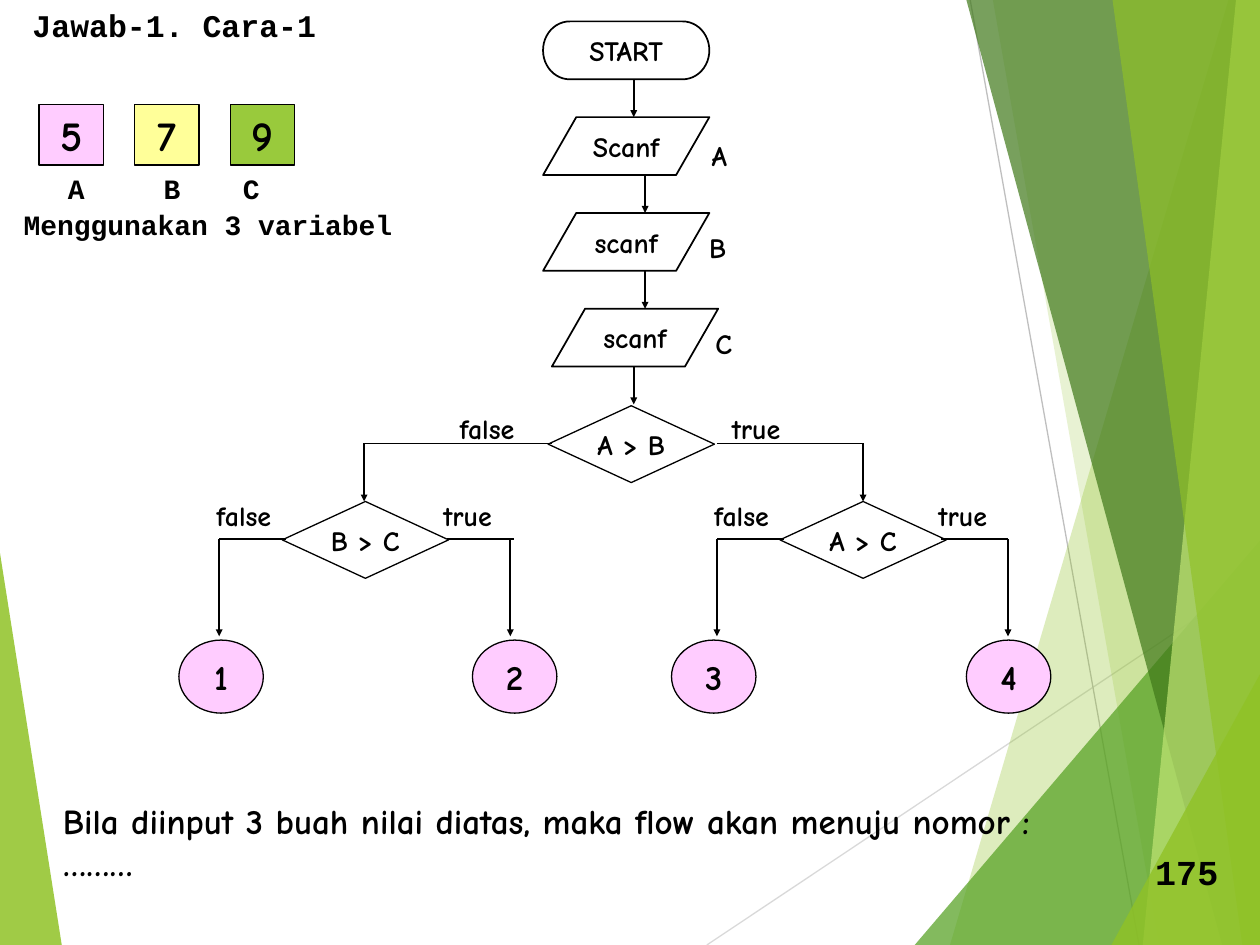
from dataclasses import dataclass

from lxml import etree
from pptx import Presentation
from pptx.dml.color import RGBColor
from pptx.enum.shapes import MSO_CONNECTOR, MSO_SHAPE
from pptx.enum.text import MSO_ANCHOR, MSO_AUTO_SIZE, PP_ALIGN
from pptx.oxml.ns import qn
from pptx.util import Inches, Pt

STRAIGHT = MSO_CONNECTOR.STRAIGHT
TERMINATOR = MSO_SHAPE.FLOWCHART_TERMINATOR
INPUT = MSO_SHAPE.FLOWCHART_DATA
DECISION = MSO_SHAPE.FLOWCHART_DECISION
CIRCLE = MSO_SHAPE.OVAL
SQUARE = MSO_SHAPE.RECTANGLE
MIDDLE = MSO_ANCHOR.MIDDLE
CENTER = PP_ALIGN.CENTER
LEFT = PP_ALIGN.LEFT
FIT = MSO_AUTO_SIZE.SHAPE_TO_FIT_TEXT


@dataclass(frozen=True)
class Theme:
    """Fonts, type sizes, line widths and colours of the slide."""
    hand: str = "Comic Neue"
    mono: str = "Courier New"
    label: int = 16
    title: int = 18
    note: int = 20
    value: int = 24
    thin: float = 0.75
    thick: float = 1
    ink: str = "000000"
    pink: str = "FFCCFF"
    yellow: str = "FFFF99"
    lime: str = "99CA3C"
    leaf: str = "90C226"
    grass: str = "54A021"
    forest: str = "3F7819"
    mint: str = "C0E474"
    light_gray: str = "D9D9D9"
    gray: str = "BFBFBF"


THEME = Theme()


def write(shape, text, size, font, align):
    """Put bold ink text in a shape."""
    frame = shape.text_frame
    frame.text = text
    para = frame.paragraphs[0]
    para.alignment = align
    span = para.runs[0]
    span.font.name = font
    span.font.size = Pt(size)
    span.font.bold = True
    span.font.color.rgb = RGBColor.from_string(THEME.ink)


def add_label(page, text, place, size=THEME.label, font=THEME.hand, wrap=False):
    """Add a text box at left, top, width, height."""
    box = page.shapes.add_textbox(*map(Inches, place))
    write(box, text, size, font, LEFT)
    box.text_frame.word_wrap = wrap
    box.text_frame.auto_size = FIT


def add_node(page, kind, text, place, fill=None, size=THEME.label, width=THEME.thin):
    """Add an outlined shape with centred text."""
    node = page.shapes.add_shape(kind, *map(Inches, place))
    node.shadow.inherit = False
    if fill:
        node.fill.solid()
        node.fill.fore_color.rgb = RGBColor.from_string(fill)
    else:
        node.fill.background()
    node.line.color.rgb = RGBColor.from_string(THEME.ink)
    node.line.width = Pt(width)
    write(node, text, size, THEME.hand, CENTER)
    node.text_frame.word_wrap = False
    node.text_frame.vertical_anchor = MIDDLE


def add_line(page, ends, arrow=False, color=THEME.ink, width=THEME.thick):
    """Draw a straight line, with a small arrowhead at its end if asked."""
    line = page.shapes.add_connector(STRAIGHT, *map(Inches, ends))
    line.line.color.rgb = RGBColor.from_string(color)
    line.line.width = Pt(width)
    if arrow:
        outline = line.line._get_or_add_ln()
        etree.SubElement(outline, qn("a:tailEnd"), type="triangle", w="sm", len="sm")
    etree.SubElement(line._element.spPr, qn("a:effectLst"))


def add_facet(page, points, color, opacity):
    """Draw a translucent polygon without outline."""
    corners = [(Inches(x), Inches(y)) for x, y in points]
    builder = page.shapes.build_freeform(*corners[0])
    builder.add_line_segments(corners[1:], close=True)
    facet = builder.convert_to_shape()
    facet.shadow.inherit = False
    facet.line.fill.background()
    facet.fill.solid()
    facet.fill.fore_color.rgb = RGBColor.from_string(color)
    tint = facet._element.spPr.find(".//" + qn("a:srgbClr"))
    etree.SubElement(tint, qn("a:alpha"), val=str(opacity * 1000))


def add_backdrop(page):
    """Draw the green facets and the two fine lines behind the flowchart."""
    add_facet(page, [(0, 4.39), (0.49, 7.5), (0, 7.5)], THEME.leaf, 85)
    add_line(page, (5.61, 7.5, 10, 4.57), color=THEME.light_gray, width=THEME.thin)
    add_line(page, (7.7, 0, 9.04, 7.5), color=THEME.gray, width=THEME.thin)
    facets = [
        (9.75, 0, 7.54, THEME.leaf, 30),
        (7.88, 0, 9.2, THEME.leaf, 20),
        (10, 4.29, 7.26, THEME.grass, 72),
        (7.67, 0, 9.7, THEME.forest, 70),
        (9.81, 0, 9.07, THEME.mint, 70),
        (8.83, 0, 9.86, THEME.leaf, 65),
        (10, 5.35, 8.82, THEME.leaf, 80),
    ]
    for upper, top, lower, color, opacity in facets:
        points = [(upper, top), (lower, 7.5), (10, 7.5), (10, top)]
        add_facet(page, points, color, opacity)


def add_variables(page):
    """Draw the three variables with their values and names."""
    variables = [
        ("5", "A", THEME.pink, 0.44),
        ("7", "B", THEME.yellow, 1.2),
        ("9", "C", THEME.lime, 1.83),
    ]
    for index, (value, name, fill, left) in enumerate(variables):
        place = (0.31 + 0.76 * index, 0.83, 0.51, 0.48)
        add_node(page, SQUARE, value, place, fill, THEME.value)
        add_label(page, name, (left, 1.31, 0.35, 0.37), font=THEME.mono)


def add_inputs(page):
    """Draw the start, the three inputs and the arrows between them."""
    steps = [
        (TERMINATOR, "START", 4.31, 5.03),
        (INPUT, "Scanf", 4.31, 5.12),
        (INPUT, "scanf", 4.31, 5.12),
        (INPUT, "scanf", 4.38, 5.03),
    ]
    for index, (kind, text, left, middle) in enumerate(steps):
        top = 0.17 + 0.76 * index
        add_node(page, kind, text, (left, top, 1.32, 0.46), width=THEME.thick)
        add_line(page, (middle, top + 0.46, middle, top + 0.76), arrow=True)
    for name, left, top in [("A", 5.55, 1.05), ("B", 5.53, 1.78), ("C", 5.58, 2.54)]:
        add_label(page, name, (left, top, 0.35, 0.37))


def add_decision(page, text, left, top, label_top, branches, drop):
    """Draw a decision with its false and true branches."""
    add_node(page, DECISION, text, (left, top, 1.32, 0.61))
    level = top + 0.3
    for answer, label_left, start, end, corner in branches:
        add_label(page, answer, (label_left, label_top, 0.66, 0.37))
        add_line(page, (start, level, end, level))
        add_line(page, (corner, level, corner, level + drop), arrow=True)


def add_decisions(page):
    """Draw the decision tree and its four numbered outcomes."""
    add_decision(page, "A > B", 4.35, 3.22, 3.22, [
        ("false", 3.55, 4.38, 2.89, 2.89),
        ("true", 5.71, 5.69, 6.85, 6.85),
    ], 0.46)
    add_decision(page, "B > C", 2.24, 3.98, 3.91, [
        ("false", 1.62, 2.27, 1.74, 1.74),
        ("true", 3.42, 3.55, 4.08, 4.05),
    ], 0.77)
    add_decision(page, "A > C", 6.19, 3.98, 3.91, [
        ("false", 5.57, 6.22, 5.69, 5.69),
        ("true", 7.35, 7.47, 8, 8),
    ], 0.77)
    for number, left in enumerate((1.42, 3.75, 5.33, 7.67), start=1):
        place = (left, 5.08, 0.67, 0.58)
        add_node(page, CIRCLE, str(number), place, THEME.pink, THEME.note)


def main():
    """Build the slide and save the deck."""
    deck = Presentation()
    deck.slide_width, deck.slide_height = Inches(10), Inches(7.5)
    page = deck.slides.add_slide(deck.slide_layouts[6])
    add_backdrop(page)
    add_label(page, "Jawab-1. Cara-1", (0.16, 0, 2.5, 0.4), THEME.title, THEME.mono)
    add_inputs(page)
    add_decisions(page)
    add_label(page, "Menggunakan 3 variabel", (0.09, 1.6, 3.2, 0.37), font=THEME.mono)
    question = "Bila diinput 3 buah nilai diatas, maka flow akan menuju nomor : ………"
    add_label(page, question, (0.4, 6.3, 8.18, 0.77), THEME.note, wrap=True)
    add_label(page, "175", (9.07, 6.7, 0.72, 0.44), THEME.note, THEME.mono)
    add_variables(page)
    deck.save("out.pptx")


if __name__ == "__main__":
    main()
